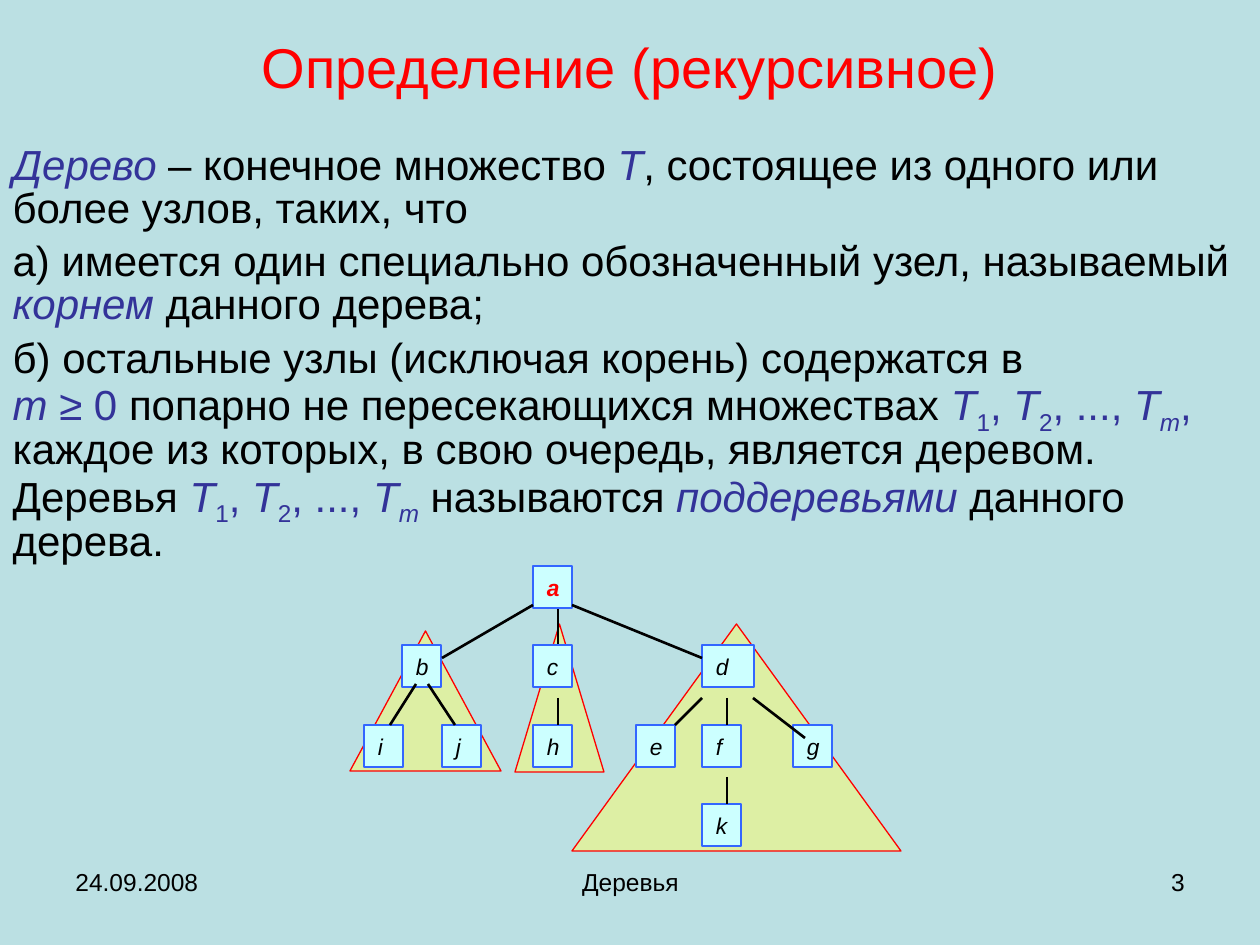
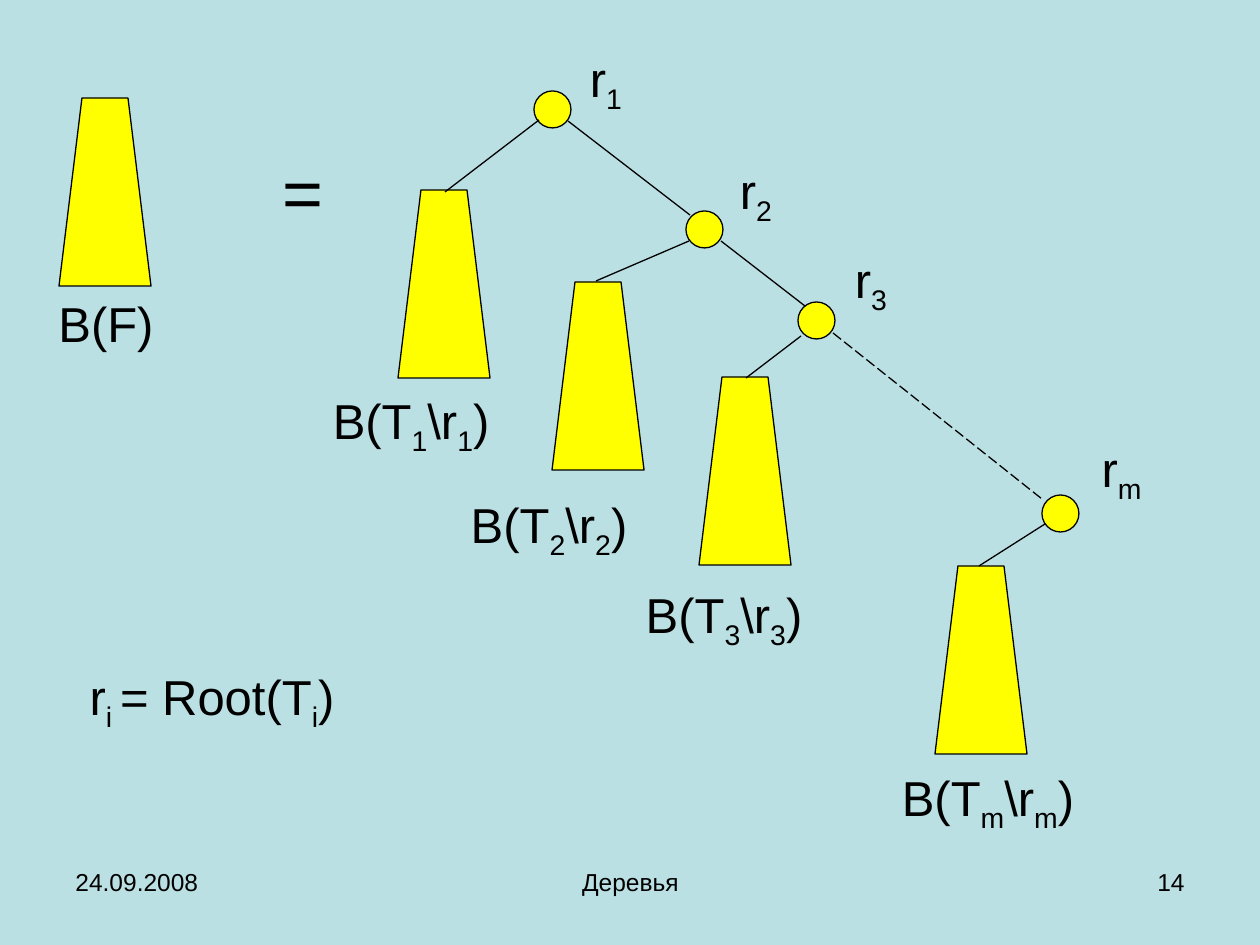
from dataclasses import dataclass

from lxml import etree
from pptx import Presentation
from pptx import util as u
from pptx.dml.color import RGBColor
from pptx.enum import dml, shapes, text
from pptx.oxml import ns

PX = u.Inches(1) / 126
KIND = shapes.MSO_SHAPE
SIDE = text.PP_ALIGN


@dataclass(frozen=True)
class Theme:
    font: str = "Arial"
    back: str = "BBE0E3"
    ink: str = "000000"
    red: str = "FF0000"
    term: str = "333399"
    box: str = "CCFFFF"
    edge: str = "3366FF"
    cone: str = "FFFF66"
    gold: str = "FFFF00"
    title: int = 32
    body: int = 24
    label: int = 28
    sign: int = 40
    node: int = 13
    foot: int = 14
    thin: float = 0.75
    bold: float = 1.5


def emu(*sizes):
    return [u.Emu(round(size * PX)) for size in sizes]


def apply(item, **values):
    for name, value in values.items():
        setattr(item, name, value)


def pairs(marked):
    return [(part, "s" if i % 2 else "") for i, part in enumerate(marked.split("|"))]


class Deck:
    def __init__(self, theme):
        self.theme = theme
        self.file = Presentation()
        apply(self.file, slide_width=u.Inches(10), slide_height=u.Inches(7.5))
        fill = self.file.slide_master.background.fill
        fill.solid()
        fill.fore_color.rgb = RGBColor.from_string(theme.back)
        self.slide = None

    def page(self, layout, number):
        self.slide = self.file.slides.add_slide(self.file.slide_layouts[layout])
        for box, words, side in (
            ((63, 861, 294, 65), "24.09.2008", SIDE.LEFT),
            ((431, 861, 399, 65), "Деревья", SIDE.CENTER),
            ((903, 861, 294, 65), str(number), SIDE.RIGHT),
        ):
            self.label(box, words, self.theme.foot, side)

    def fill_in(self, para, runs, size, color=None, **face):
        for words, style in runs:
            run = para.add_run()
            run.text = words.replace("~", chr(160))
            apply(run.font, name=self.theme.font, size=u.Pt(size), italic="i" in style, **face)
            tone = self.theme.term if "c" in style else color or self.theme.ink
            run.font.color.rgb = RGBColor.from_string(tone)
            if "s" in style:
                run.font._element.set("baseline", "-25000")

    def label(self, box, words, size, side=SIDE.CENTER):
        frame = self.slide.shapes.add_textbox(*emu(*box)).text_frame
        frame.word_wrap = True
        para = frame.paragraphs[0]
        para.alignment = side
        self.fill_in(para, pairs(words), size)

    def holder(self, index, box, anchor):
        shape = self.slide.placeholders[index]
        apply(shape, **dict(zip(("left", "top", "width", "height"), emu(*box))))
        frame = shape.text_frame
        apply(frame, word_wrap=True, auto_size=text.MSO_AUTO_SIZE.NONE, vertical_anchor=anchor)
        return frame

    def title(self, words):
        frame = self.holder(0, (63, 38, 1134, 57), text.MSO_ANCHOR.MIDDLE)
        para = frame.paragraphs[0]
        para.alignment = SIDE.CENTER
        self.fill_in(para, [(words, "")], self.theme.title, self.theme.red)

    def body(self, rows):
        frame = self.holder(1, (0, 140, 1260, 442), text.MSO_ANCHOR.TOP)
        for i, runs in enumerate(rows):
            para = frame.add_paragraph() if i else frame.paragraphs[0]
            props = para._p.get_or_add_pPr()
            for name in ("marL", "indent"):
                props.set(name, "0")
            etree.SubElement(props, ns.qn("a:buNone"))
            apply(para, line_spacing=0.85, space_before=u.Pt(6 if i else 0))
            self.fill_in(para, runs, self.theme.body)

    def paint(self, shape, fill, edge, alpha=None):
        shape.shadow.inherit = False
        shape.fill.solid()
        shape.fill.fore_color.rgb = RGBColor.from_string(fill)
        shape.line.color.rgb = RGBColor.from_string(edge)
        shape.line.width = u.Pt(self.theme.thin)
        if alpha:
            tone = shape._element.spPr.find(".//" + ns.qn("a:srgbClr"))
            etree.SubElement(tone, ns.qn("a:alpha")).set("val", str(alpha * 1000))
        return shape

    def shape(self, kind, box, fill, edge, alpha=None):
        return self.paint(self.slide.shapes.add_shape(kind, *emu(*box)), fill, edge, alpha)

    def node(self, name, left, row, width=39):
        root = row == 0
        box = (left, 566 + row * 159 // 2, width, 42)
        frame = self.shape(KIND.RECTANGLE, box, self.theme.box, self.theme.edge).text_frame
        side, top = emu(14, 8)
        apply(frame, margin_left=side, margin_right=side, margin_top=top, margin_bottom=top,
              word_wrap=True, vertical_anchor=text.MSO_ANCHOR.TOP)
        para = frame.paragraphs[0]
        para.alignment = SIDE.LEFT
        color = self.theme.red if root else self.theme.ink
        self.fill_in(para, [(name, "i")], self.theme.node, color, bold=root)

    def trunk(self, left, top):
        build = self.slide.shapes.build_freeform(left, top + 188, scale=PX)
        build.add_line_segments([(left + 92, top + 188), (left + 69, top), (left + 23, top)])
        self.paint(build.convert_to_shape(), self.theme.gold, self.theme.ink)

    def line(self, ends, width, dash=None):
        link = self.slide.shapes.add_connector(shapes.MSO_CONNECTOR.STRAIGHT, *emu(*ends))
        link.line.color.rgb = RGBColor.from_string(self.theme.ink)
        apply(link.line, width=u.Pt(width), dash_style=dash)
        etree.SubElement(link._element.spPr, ns.qn("a:effectLst"))


def define(deck):
    theme = deck.theme
    deck.page(1, 3)
    deck.title("Определение (рекурсивное)")
    trees = [("Т", "ci"), ("1", "cs"), (",~", "c"), ("Т", "ci"), ("2", "cs"),
             (",~...,~", "c"), ("Т", "ci"), ("m", "cis")]
    deck.body([
        [("Дерево", "ci"), (" – конечное множество ", ""), ("Т", "ci"),
         (",~состоящее из одного или более узлов, таких,~что", "")],
        [("а)~имеется один специально обозначенный узел, называемый ", ""),
         ("корнем ", "ci"), ("данного дерева;", "")],
        [("б)~остальные узлы (исключая корень) содержатся в ", ""), ("m~", "ci"),
         ("≥~0", "c"), ("~попарно не пересекающихся множествах ", ""), *trees, (",", "c"),
         (" каждое из которых, в свою очередь, является деревом. \tДеревья ", ""), *trees,
         (" называются ", ""), ("поддеревьями ", "ci"), ("данного дерева.", "")],
    ])
    for box in ((515, 624, 89, 148), (572, 624, 329, 227), (350, 631, 151, 140)):
        deck.shape(KIND.ISOSCELES_TRIANGLE, box, theme.cone, theme.red, 50)
    deck.line((558, 645, 558, 605), theme.bold)
    for name, left, row in (
        ("a", 533, 0), ("b", 402, 1), ("c", 533, 1), ("i", 364, 2), ("j", 442, 2),
        ("h", 533, 2), ("e", 636, 2), ("f", 702, 2), ("g", 793, 2), ("k", 702, 3),
    ):
        deck.node(name, left, row)
    deck.node("d", 702, 1, 52)
    for ends in (
        (533, 605, 442, 658), (572, 605, 702, 658), (416, 684, 390, 725),
        (428, 684, 455, 725), (558, 698, 558, 725), (702, 698, 675, 725),
        (727, 698, 727, 725), (753, 698, 805, 738), (727, 777, 727, 804),
    ):
        deck.line(ends, theme.bold)


def chain(deck):
    theme = deck.theme
    deck.page(6, 14)
    deck.trunk(59, 98)
    deck.label((238, 142, 130, 97), "=", theme.sign)
    deck.label((40, 287, 132, 72), "B(F)", theme.label)
    deck.label((54, 660, 316, 79), "r|i |= Root(T|i|)", theme.label)
    for mark, root, trunk, name, tree, wide in (
        ("1", (534, 91), (398, 190), (575, 42), (306, 384), 62),
        ("2", (686, 211), (552, 282), (725, 154), (444, 488), 62),
        ("3", (798, 302), (699, 377), (840, 243), (619, 578), 62),
        ("m", (1042, 495), (935, 566), (1081, 432), (883, 761), 81),
    ):
        deck.trunk(*trunk)
        deck.shape(KIND.OVAL, (*root, 37, 37), theme.gold, theme.ink)
        deck.label((*name, wide, 79), f"r|{mark}", theme.label)
        deck.label((*tree, 210, 79), f"B(T|{mark}|\\r|{mark}|)", theme.label)
    for ends in (
        (539, 120, 445, 192), (689, 241, 596, 281), (801, 336, 746, 378),
        (1045, 524, 979, 566), (568, 121, 690, 215), (721, 241, 805, 306),
    ):
        deck.line(ends, theme.thin)
    deck.line((833, 333, 1042, 499), theme.thin, dml.MSO_LINE.LONG_DASH)


def main():
    deck = Deck(Theme())
    define(deck)
    chain(deck)
    deck.file.save("out.pptx")


if __name__ == "__main__":
    main()
